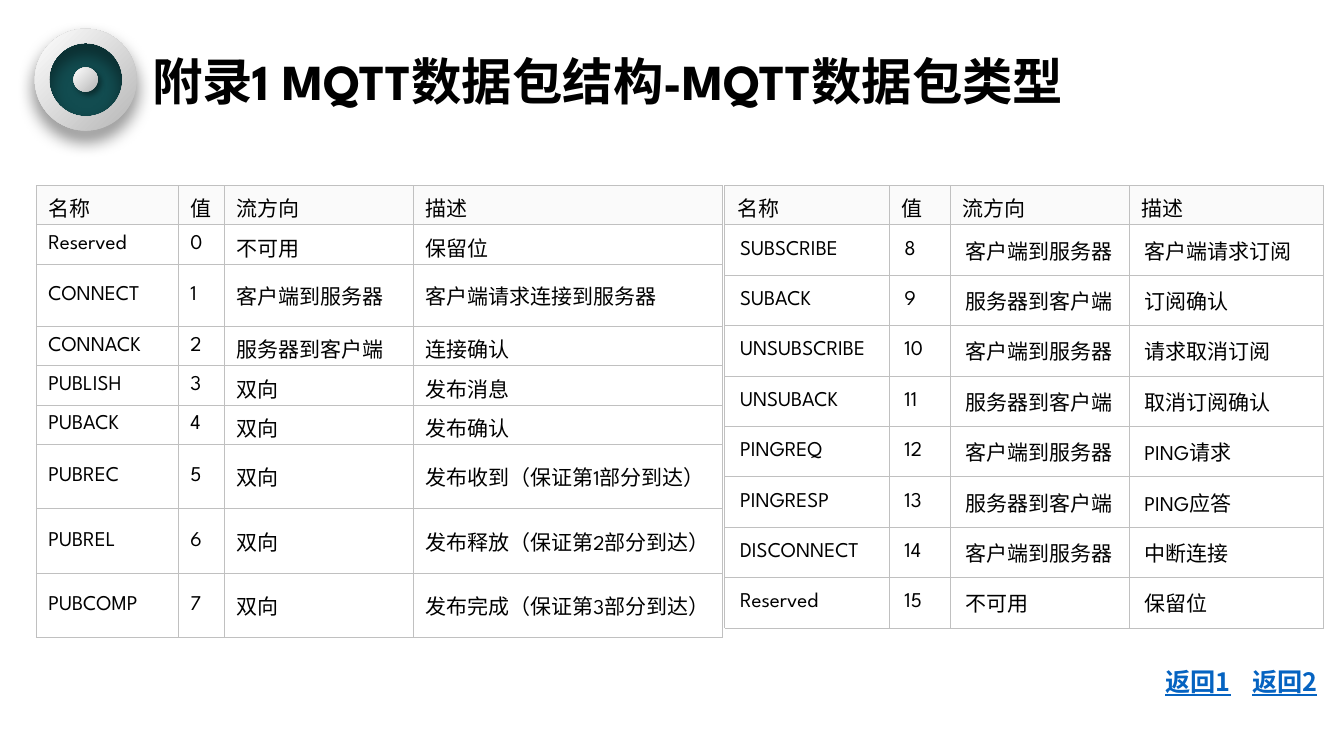
"""Build the MQTT packet type appendix slide."""
from lxml.etree import SubElement
from pptx import Presentation
from pptx.dml.color import RGBColor
from pptx.enum.shapes import MSO_SHAPE as Shape
from pptx.enum.text import MSO_ANCHOR as Anchor
from pptx.oxml import parse_xml
from pptx.oxml.ns import nsdecls, qn
from pptx.util import Inches, Pt

COLORS = {"teal": "124C50", "silver": "BFBFBF", "white": "FFFFFF", "black": "000000",
          "header": "FAFAFA", "border": "C0C0C0", "link": "0563C1"}
LATIN, CJK = "League Spartan", "Noto Sans CJK SC"
TITLE = "附录1 MQTT数据包结构-MQTT数据包类型"
LINKS = ["返回1", "返回2"]
HEADER = ("名称", "值", "流方向", "描述")
TO_SERVER, TO_CLIENT, BOTH, NONE = "客户端到服务器", "服务器到客户端", "双向", "不可用"
LOW_TYPES = [
    ("Reserved", NONE, "保留位"),
    ("CONNECT", TO_SERVER, "客户端请求连接到服务器"),
    ("CONNACK", TO_CLIENT, "连接确认"),
    ("PUBLISH", BOTH, "发布消息"),
    ("PUBACK", BOTH, "发布确认"),
    ("PUBREC", BOTH, "发布收到（保证第1部分到达）"),
    ("PUBREL", BOTH, "发布释放（保证第2部分到达）"),
    ("PUBCOMP", BOTH, "发布完成（保证第3部分到达）"),
]
HIGH_TYPES = [
    ("SUBSCRIBE", TO_SERVER, "客户端请求订阅"),
    ("SUBACK", TO_CLIENT, "订阅确认"),
    ("UNSUBSCRIBE", TO_SERVER, "请求取消订阅"),
    ("UNSUBACK", TO_CLIENT, "取消订阅确认"),
    ("PINGREQ", TO_SERVER, "PING请求"),
    ("PINGRESP", TO_CLIENT, "PING应答"),
    ("DISCONNECT", TO_SERVER, "中断连接"),
    ("Reserved", NONE, "保留位"),
]
TABLES = [
    {"left": 0.36, "first": 0, "types": LOW_TYPES, "columns": (1.41, 0.46, 1.87, 3.07),
     "rows": (0.35, 0.38, 0.62, 0.38, 0.38, 0.38, 0.62, 0.62, 0.62), "insets": (0.12, 0.07)},
    {"left": 7.19, "first": 8, "types": HIGH_TYPES, "columns": (1.63, 0.61, 1.77, 1.93),
     "rows": (0.38,) + (0.5,) * 8, "insets": (0.15, 0.08)},
]
TABLE_TOP, HEADER_INSETS = 1.84, (0.12, 0.07)
BADGE_CENTER = (0.85, 0.79)
BADGE = [
    {"kind": Shape.OVAL, "size": 0.79},
    {"kind": Shape.OVAL, "size": 0.24, "shadow": (40, 4, 3, 45)},
    {"kind": Shape.DONUT, "size": 1.01, "shadow": (54, 13, 7, 90)},
]
LINK_LEFT, LINK_TOP, LINK_WIDTH, LINK_HEIGHT = 11.46, 6.47, 0.86, 0.46


def rgb(name):
    return RGBColor.from_string(COLORS[name])


def write(frame, text, size, color, latin=LATIN, spacing=None, **formats):
    para = frame.paragraphs[0]
    para.line_spacing = spacing
    span = para.add_run()
    span.text = text
    for key, value in {"name": latin, "size": Pt(size), **formats}.items():
        setattr(span.font, key, value)
    span.font.color.rgb = rgb(color)
    SubElement(span.font._element, qn("a:ea"), typeface=CJK)


def add_box(page, left, top, width, height, **formats):
    box = page.shapes.add_textbox(*map(Inches, (left, top, width, height)))
    for key, value in {"word_wrap": True, **formats}.items():
        setattr(box.text_frame, key, value)
    return box.text_frame


def add_badge(page):
    group = page.shapes.add_group_shape()
    for part in BADGE:
        size = part["size"]
        left, top = (center - size / 2 for center in BADGE_CENTER)
        disc = group.shapes.add_shape(part["kind"], *map(Inches, (left, top, size, size)))
        disc.line.fill.background()
        disc.shadow.inherit = False
        if part["kind"] == Shape.DONUT:
            disc.adjustments[0] = 0.139
        if "shadow" not in part:
            disc.fill.solid()
            disc.fill.fore_color.rgb = rgb("teal")
            continue
        disc.rotation = 180
        disc.fill.gradient()
        disc.fill.gradient_angle = 315
        for stop, place, color in zip(disc.fill.gradient_stops, (0.12, 1), ("silver", "white")):
            stop.position = place
            stop.color.rgb = rgb(color)
        alpha, blur, distance, angle = part["shadow"]
        effects = disc._element.spPr.find(qn("a:effectLst"))
        effects.append(parse_xml(
            f'<a:outerShdw {nsdecls("a")} blurRad="{Pt(blur)}" dist="{Pt(distance)}" '
            f'dir="{angle * 60000}" algn="ctr" rotWithShape="0"><a:srgbClr val="{COLORS["black"]}">'
            f'<a:alpha val="{alpha * 1000}"/></a:srgbClr></a:outerShdw>'))


def add_borders(cell):
    properties = cell._tc.get_or_add_tcPr()
    for index, side in enumerate("LRTB"):
        properties.insert(index, parse_xml(
            f'<a:ln{side} {nsdecls("a")} w="{Pt(0.75)}"><a:solidFill>'
            f'<a:srgbClr val="{COLORS["border"]}"/></a:solidFill></a:ln{side}>'))


def add_packet_table(page, left, first, types, columns, rows, insets):
    records = [HEADER] + [(name, str(value), flow, note)
                          for value, (name, flow, note) in enumerate(types, first)]
    table = page.shapes.add_table(len(rows), len(columns), *map(
        Inches, (left, TABLE_TOP, sum(columns), sum(rows)))).table
    table.first_row = table.horz_banding = False
    for column, width in zip(table.columns, columns):
        column.width = Inches(width)
    for number, (row, height, record) in enumerate(zip(table.rows, rows, records)):
        row.height = Inches(height)
        across, down = map(Inches, insets if number else HEADER_INSETS)
        for cell, text in zip(row.cells, record):
            formats = {"margin_left": across, "margin_right": across, "margin_top": down,
                       "margin_bottom": down, "vertical_anchor": Anchor.MIDDLE}
            for key, value in formats.items():
                setattr(cell, key, value)
            cell.fill.solid()
            cell.fill.fore_color.rgb = rgb("white" if number else "header")
            add_borders(cell)
            write(cell.text_frame, text, 15, "black")


def main():
    deck = Presentation()
    deck.slide_width, deck.slide_height = Inches(13.33), Inches(7.5)
    page = deck.slides.add_slide(deck.slide_layouts[6])
    add_badge(page)
    title = add_box(page, 1.41, 0.51, 9.72, 0.65, vertical_anchor=Anchor.MIDDLE, margin_right=0)
    write(title, TITLE, 36, "black", spacing=0.9, bold=True)
    for table in TABLES:
        add_packet_table(page, **table)
    for index, text in enumerate(LINKS):
        link = add_box(page, LINK_LEFT + index * LINK_WIDTH, LINK_TOP, LINK_WIDTH, LINK_HEIGHT)
        write(link, text, 18, "link", latin=CJK, spacing=1.3, bold=True, underline=True)
    deck.save("out.pptx")


if __name__ == "__main__":
    main()
